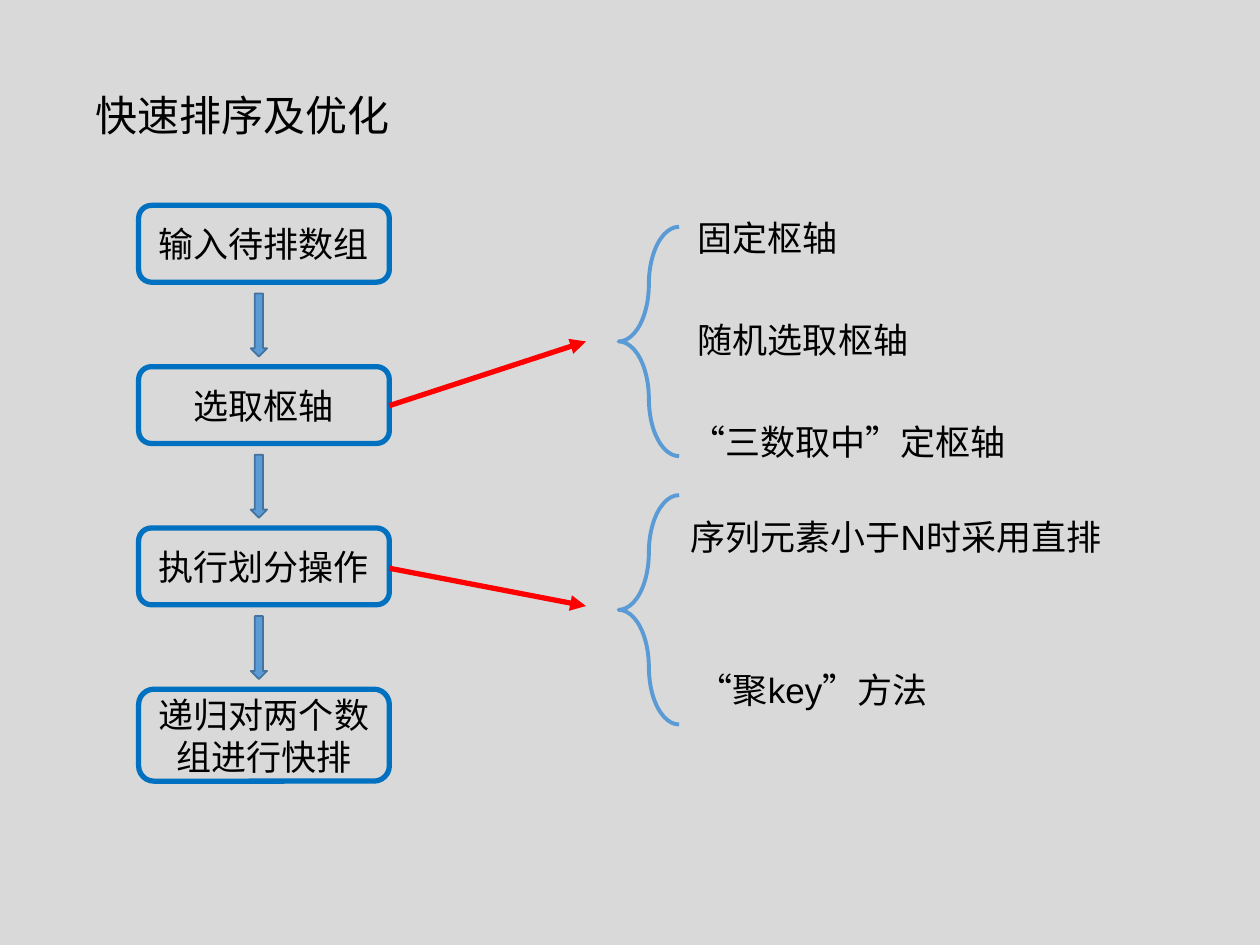
import pptx
import pptx.util
import pptx.dml.color
import pptx.enum.dml
import pptx.enum.lang
import pptx.enum.shapes
import pptx.enum.text
import pptx.oxml
import pptx.oxml.ns
from dataclasses import dataclass

SHAPE = pptx.enum.shapes.MSO_SHAPE
ALIGN = pptx.enum.text.PP_ALIGN
ANCHOR = pptx.enum.text.MSO_ANCHOR


@dataclass(frozen=True)
class Theme:
    back: str = "D9D9D9"
    ink: str = "000000"
    frame: str = "0070C0"
    blue: str = "5B9BD5"
    edge: str = "43739E"
    red: str = "FF0000"
    font: str = "Arial"
    head: int = 24
    body: int = 20


def color(code):
    return pptx.dml.color.RGBColor.from_string(code)


class Deck:
    """Style and current slide; lengths are cells of a 100 by 75 grid."""

    cols, rows = 100, 75

    def __init__(self, theme):
        self.theme = theme
        self.file = pptx.Presentation()
        self.file.slide_width = pptx.util.Inches(10)
        self.file.slide_height = pptx.util.Inches(7.5)
        self.slide = self.file.slides.add_slide(self.file.slide_layouts[6])
        fill = self.slide.background.fill
        fill.solid()
        fill.fore_color.rgb = color(theme.back)

    def grid(self, *cells):
        """Turn column, row, column, row ... into lengths."""
        units = (self.file.slide_width / self.cols,
                 self.file.slide_height / self.rows)
        return [round(cell * units[i % 2]) for i, cell in enumerate(cells)]

    def stroke(self, line, tint, width):
        line.color.rgb = color(tint)
        line.width = pptx.util.Pt(width)

    def words(self, frame, text, size, align=ALIGN.LEFT):
        frame.word_wrap = True
        para = frame.paragraphs[0]
        para.alignment = align
        run = para.add_run()
        run.text = text
        style = {
            "name": self.theme.font,
            "size": pptx.util.Pt(size),
            "language_id": pptx.enum.lang.MSO_LANGUAGE_ID.SIMPLIFIED_CHINESE,
        }
        for key, value in style.items():
            setattr(run.font, key, value)
        run.font.color.rgb = color(self.theme.ink)

    def shape(self, kind, cells, tint, width, fill=None, adjust=()):
        item = self.slide.shapes.add_shape(kind, *self.grid(*cells))
        item.shadow.inherit = False
        if fill:
            item.fill.solid()
            item.fill.fore_color.rgb = color(fill)
        else:
            item.fill.background()
        self.stroke(item.line, tint, width)
        for i, value in enumerate(adjust):
            item.adjustments[i] = value
        return item

    def step(self, text, *cells):
        item = self.shape(SHAPE.ROUNDED_RECTANGLE, cells, self.theme.frame, 3)
        item.text_frame.vertical_anchor = ANCHOR.MIDDLE
        self.words(item.text_frame, text, self.theme.body, ALIGN.CENTER)

    def down(self, *cells):
        self.shape(SHAPE.DOWN_ARROW, cells, self.theme.edge, 1, self.theme.blue)

    def brace(self, *cells):
        self.shape(SHAPE.LEFT_BRACE, cells, self.theme.blue, 2.25,
                   adjust=(1.265, 0.5))

    def label(self, text, size, *cells):
        box = self.slide.shapes.add_textbox(*self.grid(*cells))
        self.words(box.text_frame, text, size)

    def arrow(self, *cells):
        kind = pptx.enum.shapes.MSO_CONNECTOR.STRAIGHT
        item = self.slide.shapes.add_connector(kind, *self.grid(*cells))
        self.stroke(item.line, self.theme.red, 3)
        props = item._element.spPr
        tail = pptx.oxml.parse_xml(
            '<a:tailEnd %s type="triangle"/>' % pptx.oxml.ns.nsdecls("a"))
        props.find(pptx.oxml.ns.qn("a:ln")).append(tail)
        props.append(pptx.oxml.parse_xml(
            "<a:effectLst %s/>" % pptx.oxml.ns.nsdecls("a")))


theme = Theme()
deck = Deck(theme)

# Title
deck.label("快速排序及优化", theme.head, 6.6, 6.6, 74.1, 5)

# Flow of steps, with an arrow after each but the last
steps = ["输入待排数组", "选取枢轴", "执行划分操作", "递归对两个数组进行快排"]
left, top, wide, pitch = 11, 16.3, 19.9, 12.8
for i, text in enumerate(steps):
    row = top + i * pitch
    last = i == len(steps) - 1
    deck.step(text, left, row, wide, 7.3 if last else 6.1)
    if not last:
        deck.down(19.9, row + 7, 1.3, 5)

# Links from steps to their options: start row, end row, brace top
for start, end, row in [(32.2, 27.1, 18), (45.1, 48.1, 39.3)]:
    deck.arrow(left + wide, start, 46.5, end)
    deck.brace(49.1, row, 4.8, 18.2)

# Options: text, column, row, width
options = [
    ("固定枢轴", 54.4, 16.7, 26.8),
    ("随机选取枢轴", 54.4, 24.8, 26.8),
    ("“三数取中”定枢轴", 53.8, 32.9, 31.1),
    ("序列元素小于N时采用直排", 53.8, 40.4, 46.2),
    ("“聚key”方法", 54.4, 52.6, 22.7),
]
for text, col, row, width in options:
    deck.label(text, theme.body, col, row, width, 4.4)

deck.file.save("out.pptx")
